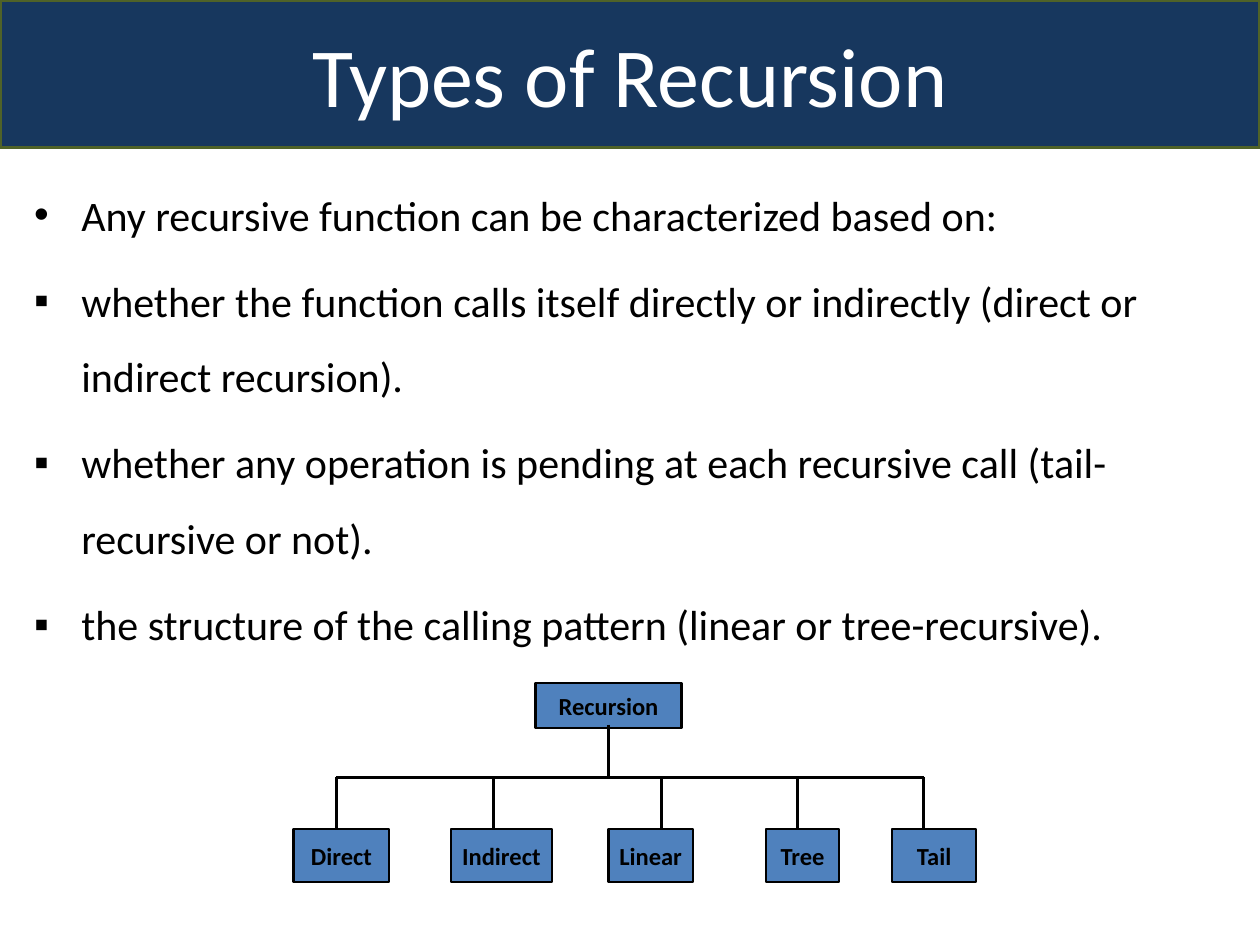
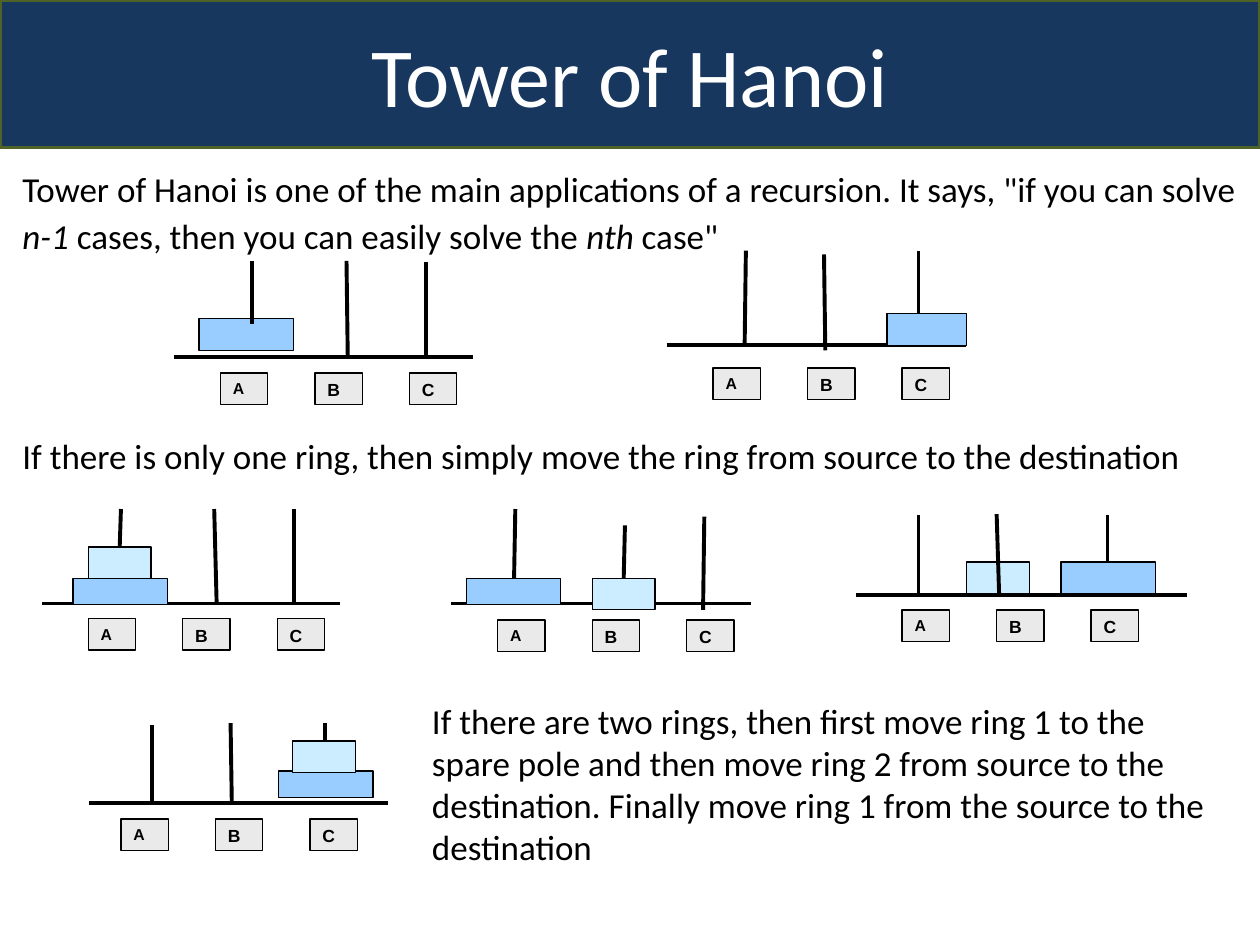
import lxml.etree
import pptx
import pptx.dml.color
import pptx.enum.shapes
import pptx.enum.text
import pptx.oxml.ns
import pptx.util

COLORS = {
    "band": "17375E",
    "band_edge": "4F6228",
    "title": "FFFFFF",
    "ink": "000000",
    "node": "4F81BD",
    "wide": "99CCFF",
    "small": "CCECFF",
    "label": "EAEAEA",
}
BODY_FONT = "Calibri"
LABEL_FONT = "Arial"
COLUMNS, ROWS = 100, 75
CELL = pptx.util.Inches(10) // COLUMNS
ALIGN = pptx.enum.text.PP_ALIGN
ANCHOR = pptx.enum.text.MSO_ANCHOR

TYPES = [
    ("•", "Any recursive function can be characterized based on:"),
    ("▪", "whether the function calls itself directly or indirectly (direct or indirect recursion)."),
    ("▪", "whether any operation is pending at each recursive call (tail-recursive or not)."),
    ("▪", "the structure of the calling pattern (linear or tree-recursive)."),
]
BRANCHES = [
    ("Direct", 0, 7.6, 3.4),
    ("Indirect", 12.5, 8, 15.9),
    ("Linear", 25, 6.7, 29.2),
    ("Tree", 37.5, 5.8, 40),
    ("Tail", 47.5, 6.7, 50),
]
INTRO = [
    ('Tower of Hanoi is one of the main applications of a recursion. It says, "if you can solve ', False),
    ("n-1", True),
    (" cases, then you can easily solve the ", False),
    ("nth", True),
    (' case"', False),
]
ONE_RING = "If there is only one ring, then simply move the ring from source to the destination"
TWO_RINGS = (
    "If there are two rings, then first move ring 1 to the spare pole and then move ring 2 "
    "from source to the destination. Finally move ring 1 from the source to the destination"
)
TOWERS = [
    {
        "base": (13.8, 28.3, 23.7), "labels": (3.7, 1.3),
        "rings": [("wide", 2, -3, 7.5, 2.5)],
        "poles": [(6.2, -2.6, 6.2, -7.6), (13.8, 0, 13.7, -7.6), (20, 0, 20, -7.5)],
    },
    {
        "base": (52.9, 27.4, 23.8), "labels": (3.7, 1.8),
        "rings": [("wide", 17.5, -2.5, 6.3, 2.5)],
        "poles": [(6.2, 0, 6.3, -7.5), (12.6, 0.4, 12.5, -7.2), (20, -2.5, 20, -7.5)],
    },
    {
        "base": (3.3, 47.9, 23.7), "labels": (3.7, 1.2),
        "rings": [("wide", 2.5, -2, 7.5, 2.1), ("small", 3.7, -4.5, 5, 2.5)],
        "poles": [(6.2, -4.5, 6.3, -7.5), (13.9, 0.1, 13.7, -7.5), (20, 0, 20, -7.5)],
    },
    {
        "base": (35.8, 47.9, 23.8), "labels": (3.7, 1.3),
        "rings": [("wide", 1.2, -2, 7.5, 2.1), ("small", 11.2, -2, 5, 2.5)],
        "poles": [(5, -2, 5.1, -7.5), (13.7, -2, 13.8, -6.2), (20, 0.5, 20.1, -6.9)],
    },
    {
        "base": (67.9, 47.2, 26.3), "labels": (3.7, 1.2),
        "rings": [("wide", 16.3, -2.6, 7.5, 2.5), ("small", 8.8, -2.6, 5, 2.5)],
        "poles": [(5, 0, 5, -6.3), (11.4, 0.1, 11.2, -6.4), (20, -2.5, 20, -6.3)],
    },
    {
        "base": (7.1, 63.7, 23.7), "labels": (2.5, 1.3),
        "rings": [("wide", 15, -2.5, 7.5, 2.1), ("small", 16.1, -4.9, 5, 2.5)],
        "poles": [(5, 0, 5, -6.2), (11.3, 0.1, 11.2, -6.3), (18.7, -4.9, 18.7, -6.3)],
    },
]


def cells(*values):
    """Turn grid columns or rows into lengths."""
    return [round(value * CELL) for value in values]


def rgb(name):
    """Look up a colour of the deck."""
    return pptx.dml.color.RGBColor.from_string(COLORS[name])


def move(shape, box):
    """Place a shape on a box given in grid cells."""
    shape.left, shape.top, shape.width, shape.height = cells(*box)


def paint(shape, fill, edge, weight):
    """Give a shape its fill and outline."""
    shape.fill.solid()
    shape.fill.fore_color.rgb = rgb(fill)
    shape.line.color.rgb = rgb(edge)
    shape.line.width = pptx.util.Pt(weight)


def style(para, size, font=BODY_FONT, color="ink", bold=False):
    """Format every run of a paragraph."""
    for span in para.runs:
        span.font.name = font
        span.font.size = pptx.util.Pt(size)
        span.font.bold = bold
        span.font.color.rgb = rgb(color)


def add_box(page, box, fill, weight):
    """Add a flat outlined rectangle."""
    shape = page.shapes.add_shape(pptx.enum.shapes.MSO_SHAPE.RECTANGLE, *cells(*box))
    shape.shadow.inherit = False
    paint(shape, fill, "ink", weight)
    return shape


def add_line(page, ends, weight):
    """Add a straight black line without a shadow."""
    line = page.shapes.add_connector(pptx.enum.shapes.MSO_CONNECTOR.STRAIGHT, *cells(*ends))
    line.line.color.rgb = rgb("ink")
    line.line.width = pptx.util.Pt(weight)
    lxml.etree.SubElement(line._element.spPr, pptx.oxml.ns.qn("a:effectLst"))


def add_page(deck, layout, title):
    """Add a slide with its title band."""
    page = deck.slides.add_slide(deck.slide_layouts[layout])
    band = page.shapes.title
    move(band, (0, 0, COLUMNS, 11.7))
    paint(band, "band", "band_edge", 2)
    frame = band.text_frame
    frame.text = title
    frame.vertical_anchor = ANCHOR.MIDDLE
    frame.auto_size = pptx.enum.text.MSO_AUTO_SIZE.NONE
    frame.paragraphs[0].alignment = ALIGN.CENTER
    style(frame.paragraphs[0], 48, color="title")
    return page


def set_bullet(para, mark):
    """Give a paragraph a hanging bullet."""
    props = para._p.get_or_add_pPr()
    hang = cells(3.75)[0]
    props.set("marL", str(hang))
    props.set("indent", str(-hang))
    for tag, key, value in (("a:buFont", "typeface", LABEL_FONT), ("a:buChar", "char", mark)):
        lxml.etree.SubElement(props, pptx.oxml.ns.qn(tag)).set(key, value)


def fill_list(body, box, items):
    """Write the bulleted list into the body placeholder."""
    move(body, box)
    frame = body.text_frame
    frame.auto_size = pptx.enum.text.MSO_AUTO_SIZE.NONE
    frame.text = "\n".join(text for _, text in items)
    for para, (mark, _) in zip(frame.paragraphs, items):
        para.line_spacing = 1.5
        para.space_before = pptx.util.Pt(6)
        set_bullet(para, mark)
        style(para, 24)


def add_node(page, box, name):
    """Add one named box of the recursion tree."""
    frame = add_box(page, box, "node", 1.25).text_frame
    frame.text = name
    frame.word_wrap = False
    frame.vertical_anchor = ANCHOR.MIDDLE
    frame.paragraphs[0].alignment = ALIGN.CENTER
    style(frame.paragraphs[0], 14, bold=True)


def draw_recursion_tree(page, left, top):
    """Draw the root, its rail and the five kinds of recursion."""
    rail, leaf = top + 7.5, top + 11.6
    add_line(page, (left + BRANCHES[0][3], rail, left + BRANCHES[-1][3], rail), 1.75)
    add_node(page, (left + 19.2, top, 11.6, 3.6), "Recursion")
    add_line(page, (left + 25, top + 3.3, left + 25, rail), 1.75)
    for name, offset, width, stem in BRANCHES:
        add_line(page, (left + stem, rail, left + stem, leaf), 1.75)
        add_node(page, (left + offset, leaf, width, 4.2), name)


def add_caption(page, box, spans, leading=1, before=12.5):
    """Add a wrapped paragraph made of plain and italic spans."""
    frame = page.shapes.add_textbox(*cells(*box)).text_frame
    frame.word_wrap = True
    para = frame.paragraphs[0]
    para.line_spacing = leading
    para.space_before = pptx.util.Pt(before)
    for text, italic in spans:
        span = para.add_run()
        span.text = text
        span.font.italic = italic
    style(para, 20)


def draw_tower(page, base, labels, rings, poles):
    """Draw rings, poles and labels relative to the left end of the base line."""
    left, floor, width = base
    add_line(page, (left, floor, left + width, floor), 2.25)
    for kind, across, down, ring_width, height in rings:
        add_box(page, (left + across, floor + down, ring_width, height), kind, 0.75)
    for foot, low, tip, high in poles:
        add_line(page, (left + foot, floor + low, left + tip, floor + high), 2.25)
    first, drop = labels
    for index, name in enumerate("ABC"):
        box = (left + first + 7.5 * index, floor + drop, 3.75, 2.5)
        frame = add_box(page, box, "label", 0.75).text_frame
        frame.text = name
        frame.vertical_anchor = ANCHOR.TOP
        frame.paragraphs[0].alignment = ALIGN.LEFT
        style(frame.paragraphs[0], 9 if name == "A" else 10, LABEL_FONT, bold=True)


def build_types(deck):
    """Build the slide on the types of recursion."""
    page = add_page(deck, 1, "Types of Recursion")
    fill_list(page.placeholders[1], (1.7, 12.5, 96.7, 31.7), TYPES)
    draw_recursion_tree(page, 23.3, 54.2)


def build_hanoi(deck):
    """Build the slide on the Tower of Hanoi."""
    page = add_page(deck, 5, "Tower of Hanoi")
    add_caption(page, (0.8, 12.5, 99.2, 9.2), INTRO, 1.1, 5)
    add_caption(page, (0.8, 34, 96.7, 4.4), [(ONE_RING, False)])
    add_caption(page, (33.3, 55, 64.2, 14.4), [(TWO_RINGS, False)])
    for tower in TOWERS:
        draw_tower(page, **tower)


def main():
    """Build and save the deck."""
    deck = pptx.Presentation()
    deck.slide_width, deck.slide_height = cells(COLUMNS, ROWS)
    build_types(deck)
    build_hanoi(deck)
    deck.save("out.pptx")


if __name__ == "__main__":
    main()
